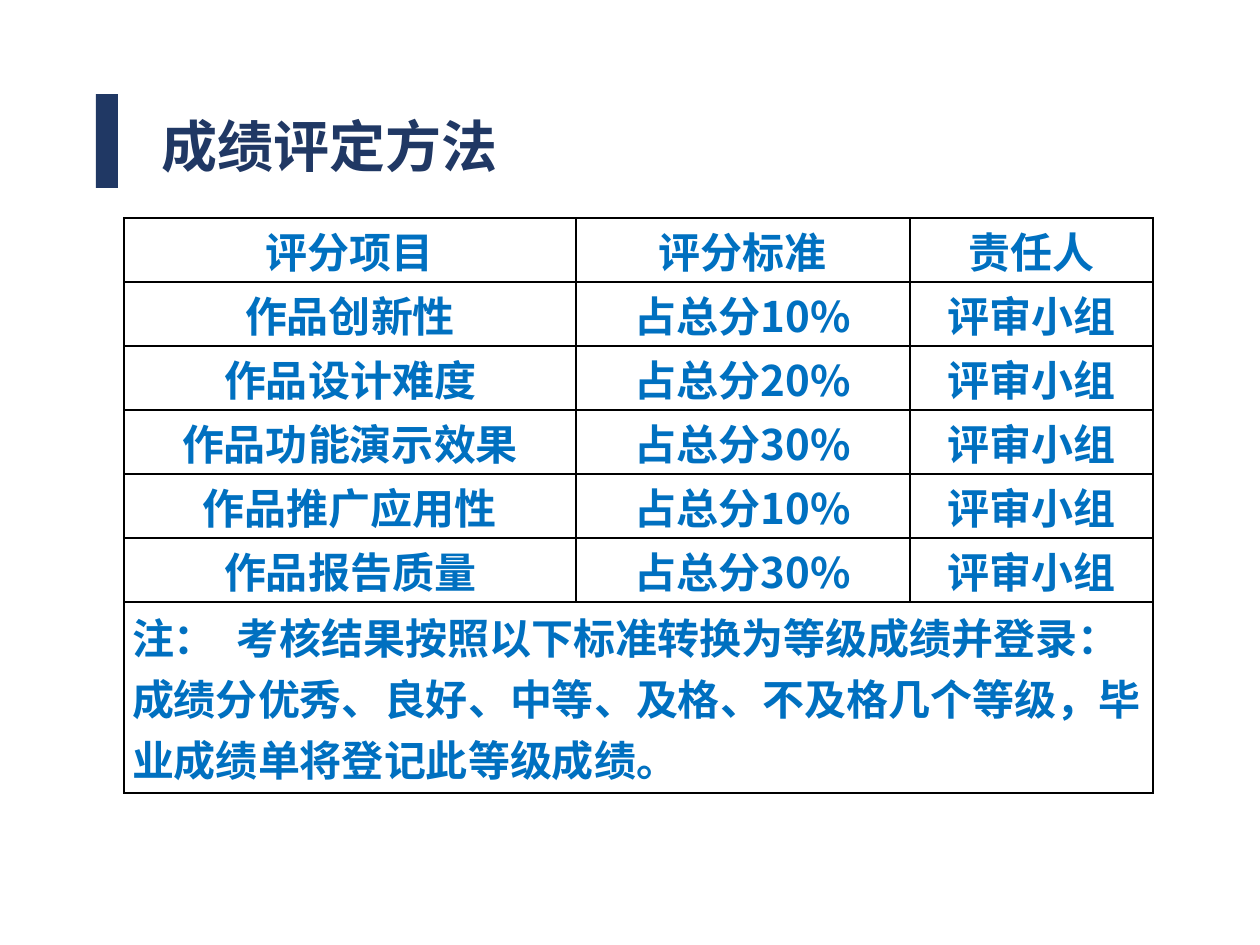
from dataclasses import dataclass

from lxml.etree import SubElement
from pptx import Presentation
from pptx.dml.color import RGBColor
from pptx.enum.shapes import MSO_SHAPE
from pptx.enum.text import MSO_ANCHOR, PP_ALIGN
from pptx.oxml.ns import qn
from pptx.util import Emu, Pt

PIXEL = 914400 // 126


@dataclass(frozen=True)
class Theme:
    """Colours, typeface and type sizes of the slide."""
    navy: str = "203864"
    blue: str = "0070C0"
    border: str = "000000"
    typeface: str = "Noto Sans CJK SC"
    title_size: int = 32
    table_size: int = 24
    border_width: int = 1


THEME = Theme()

TITLE = "成绩评定方法"
HEADERS = ("评分项目", "评分标准", "责任人")
REVIEWER = "评审小组"
CRITERIA = (
    ("作品创新性", 10),
    ("作品设计难度", 20),
    ("作品功能演示效果", 30),
    ("作品推广应用性", 10),
    ("作品报告质量", 30),
)
NOTE = (
    "注：\u2002考核结果按照以下标准转换为等级成绩并登录："
    "成绩分优秀、良好、中等、及格、不及格几个等级，"
    "毕业成绩单将登记此等级成绩。"
)
COLUMN_WIDTHS = (452, 334, 243)
ROW_HEIGHT = 64
NOTE_HEIGHT = 191
CELL_INSET = 8


def pixels(*lengths):
    """Turn pixel lengths into EMU."""
    return [Emu(length * PIXEL) for length in lengths]


def write(text_frame, text, size, color, alignment):
    """Put one bold paragraph into a text frame."""
    paragraph = text_frame.paragraphs[0]
    paragraph.text = text
    paragraph.alignment = alignment
    font = paragraph.font
    font.name = THEME.typeface
    font.size = Pt(size)
    font.bold = True
    font.color.rgb = RGBColor.from_string(color)
    properties = paragraph._p.get_or_add_pPr().find(qn("a:defRPr"))
    SubElement(properties, qn("a:ea"), typeface=THEME.typeface)


def add_bar(slide, *box):
    """Add the solid accent bar beside the title."""
    shape = slide.shapes.add_shape(MSO_SHAPE.RECTANGLE, *pixels(*box))
    shape.shadow.inherit = False
    shape.fill.solid()
    shape.fill.fore_color.rgb = RGBColor.from_string(THEME.navy)
    shape.line.fill.background()


def add_title(slide, *box):
    """Add the centred title text."""
    text_frame = slide.shapes.add_textbox(*pixels(*box)).text_frame
    text_frame.word_wrap = True
    write(text_frame, TITLE, THEME.title_size, THEME.navy, PP_ALIGN.CENTER)


def add_borders(cell):
    """Draw a thin line on all four sides of a cell."""
    properties = cell._tc.get_or_add_tcPr()
    for index, side in enumerate(("lnL", "lnR", "lnT", "lnB")):
        line = SubElement(properties, qn(f"a:{side}"), w=str(Pt(THEME.border_width)))
        fill = SubElement(line, qn("a:solidFill"))
        SubElement(fill, qn("a:srgbClr"), val=THEME.border)
        properties.insert(index, line)


def fill_cell(cell, text, alignment=PP_ALIGN.CENTER):
    """Set the text of a table cell."""
    write(cell.text_frame, text, THEME.table_size, THEME.blue, alignment)


def style_cell(cell):
    """Give a cell its insets, anchor, clear fill and borders."""
    cell.margin_left, cell.margin_right = pixels(CELL_INSET, CELL_INSET)
    cell.margin_top = cell.margin_bottom = 0
    cell.vertical_anchor = MSO_ANCHOR.MIDDLE
    cell.fill.background()
    add_borders(cell)


def add_grading_table(slide, left, top):
    """Add the grading table with its merged note row."""
    rows = [HEADERS]
    rows += [(item, f"占总分{share}%", REVIEWER) for item, share in CRITERIA]
    heights = [ROW_HEIGHT] * len(rows) + [NOTE_HEIGHT]
    box = pixels(left, top, sum(COLUMN_WIDTHS), sum(heights))
    table = slide.shapes.add_table(len(heights), len(HEADERS), *box).table
    table.first_row = table.horz_banding = False
    for column, width in zip(table.columns, pixels(*COLUMN_WIDTHS)):
        column.width = width
    for row, height in zip(table.rows, pixels(*heights)):
        row.height = height
    for cell in table.iter_cells():
        style_cell(cell)
    for row, texts in zip(table.rows, rows):
        for cell, text in zip(row.cells, texts):
            fill_cell(cell, text)
    note_row = len(rows)
    note = table.cell(note_row, 0)
    note.merge(table.cell(note_row, len(HEADERS) - 1))
    fill_cell(note, NOTE, PP_ALIGN.LEFT)


def main():
    """Build and save the slide."""
    presentation = Presentation()
    presentation.slide_width, presentation.slide_height = pixels(1260, 945)
    slide = presentation.slides.add_slide(presentation.slide_layouts[6])
    add_bar(slide, 96, 94, 22, 94)
    add_title(slide, 126, 105, 407, 80)
    add_grading_table(slide, 124, 218)
    presentation.save("out.pptx")


main()
